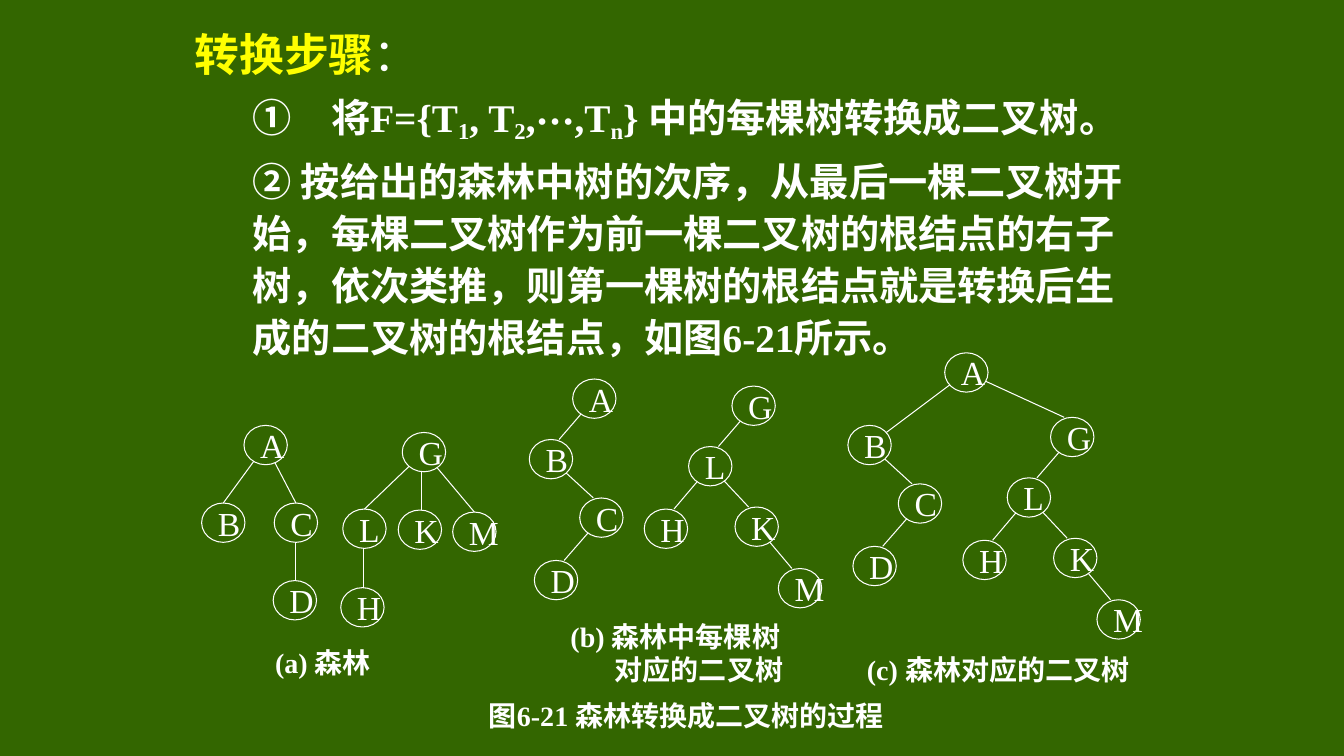
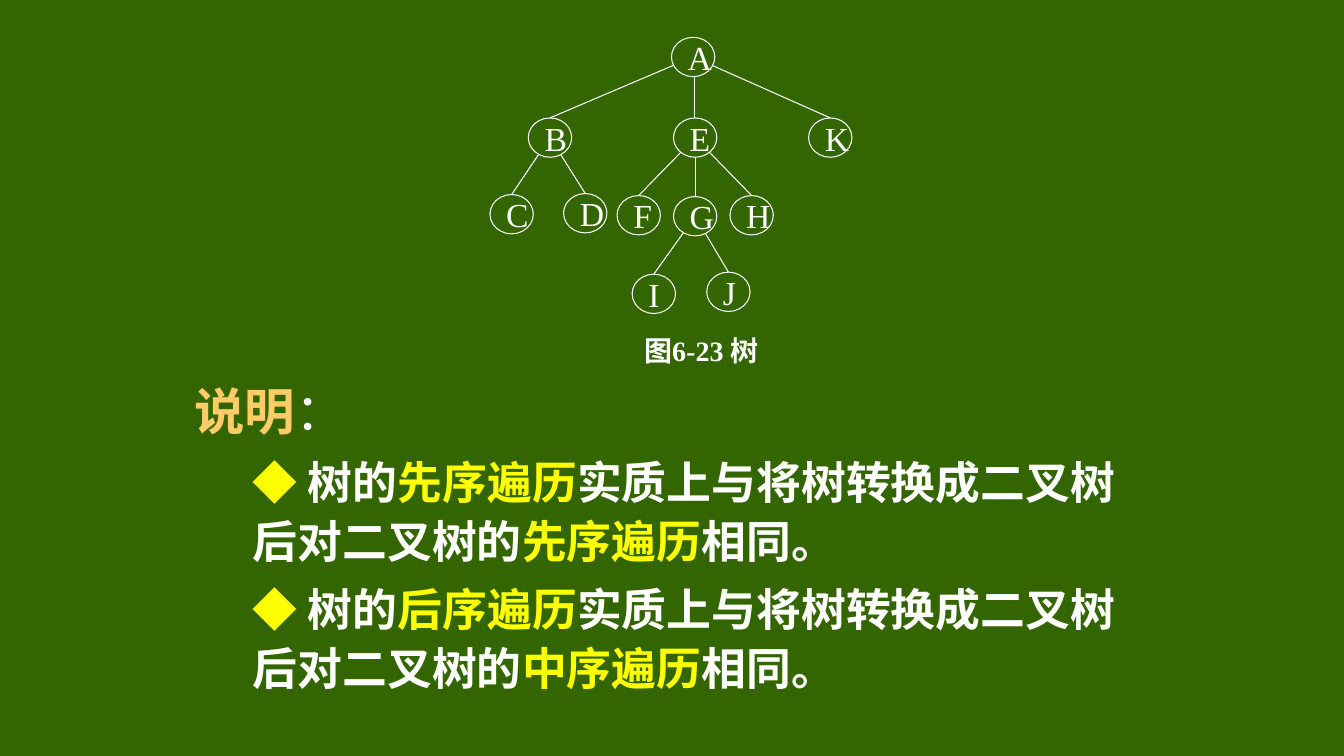
from math import hypot

from lxml import etree
from pptx import Presentation
from pptx import util as u
from pptx.dml.color import RGBColor
from pptx.enum import shapes, text
from pptx.oxml import ns

GREEN = RGBColor(0x33, 0x66, 0x00)
WHITE = RGBColor(0xFF, 0xFF, 0xFF)
YELLOW = RGBColor(0xFF, 0xFF, 0x00)
ORANGE = RGBColor(0xFF, 0xCC, 0x66)
LATIN = "Times New Roman"
HAN = "Noto Sans CJK SC"
NODE_WIDTH, NODE_HEIGHT = 0.43, 0.39
LEVEL_INDENT = 0.58


def style_paragraph(para, size, bold=False, color=WHITE):
    """Set the shared Latin and Han fonts of a paragraph."""
    para.alignment = text.PP_ALIGN.LEFT
    font = para.font
    font.size = u.Pt(size)
    font.bold = bold
    font.color.rgb = color
    font.name = LATIN
    defaults = para._p.get_or_add_pPr().find(ns.qn("a:defRPr"))
    etree.SubElement(defaults, ns.qn("a:ea")).set("typeface", HAN)


def indent_paragraph(para, inches):
    """Indent a whole paragraph from the left."""
    properties = para._p.get_or_add_pPr()
    properties.set("marL", str(u.Inches(inches)))
    properties.set("indent", "0")


def add_text_box(page, left, top, width, height, anchor, wrap):
    """Add a text box and return its text frame."""
    box = page.shapes.add_textbox(*map(u.Inches, (left, top, width, height)))
    frame = box.text_frame
    frame.word_wrap = wrap
    frame.vertical_anchor = anchor
    return frame


def add_caption(page, box, *lines):
    """Write a bold caption; each line is a text and its indent."""
    frame = add_text_box(page, *box, text.MSO_ANCHOR.MIDDLE, True)
    for index, (words, indent) in enumerate(lines):
        para = frame.add_paragraph() if index else frame.paragraphs[0]
        para.text = words
        indent_paragraph(para, indent)
        style_paragraph(para, 20, bold=True)


def add_passage(page, box, paragraphs):
    """Write a heading and the indented paragraphs under it."""
    frame = add_text_box(page, *box, text.MSO_ANCHOR.TOP, True)
    for index, (size, pitch, before, spans) in enumerate(paragraphs):
        para = frame.add_paragraph() if index else frame.paragraphs[0]
        if index:
            indent_paragraph(para, LEVEL_INDENT)
            para.space_before = u.Pt(before)
        para.line_spacing = u.Pt(pitch)
        style_paragraph(para, size, bold=True)
        for words, change in spans:
            span = para.add_run()
            span.text = words
            if change == "plain":
                span.font.bold = False
            elif change == "sub":
                span._r.get_or_add_rPr().set("baseline", "-18000")
            elif change is not None:
                span.font.color.rgb = change


def add_node(group, letter, left, top):
    """Draw one lettered oval."""
    node = group.shapes.add_shape(
        shapes.MSO_SHAPE.OVAL,
        *map(u.Inches, (left, top, NODE_WIDTH, NODE_HEIGHT)))
    node.shadow.inherit = False
    node.fill.background()
    node.line.color.rgb = WHITE
    node.line.width = u.Pt(0.75)
    frame = node.text_frame
    frame.word_wrap = False
    frame.vertical_anchor = text.MSO_ANCHOR.MIDDLE
    frame.paragraphs[0].text = letter
    style_paragraph(frame.paragraphs[0], 24)


def rim_point(center, target):
    """Find where the ray from an oval's centre to a target leaves the oval."""
    across, down = target[0] - center[0], target[1] - center[1]
    scale = 1 / hypot(across / (NODE_WIDTH / 2), down / (NODE_HEIGHT / 2))
    return center[0] + across * scale, center[1] + down * scale


def add_edge(group, start, end):
    """Draw a thin straight line between two points."""
    edge = group.shapes.add_connector(
        shapes.MSO_CONNECTOR.STRAIGHT, *map(u.Inches, (*start, *end)))
    edge.line.color.rgb = WHITE
    edge.line.width = u.Pt(0.75)
    etree.SubElement(edge._element.spPr, ns.qn("a:effectLst"))


def add_tree(page, origin, nodes, edges, lean=0, rim_edges=()):
    """Draw a tree whose node offsets are measured from its root's corner."""
    group = page.shapes.add_group_shape()
    centers = {}
    for letter, (across, down) in nodes.items():
        left, top = origin[0] + across, origin[1] + down
        add_node(group, letter, left, top)
        centers[letter] = left + NODE_WIDTH / 2, top + NODE_HEIGHT / 2
    for pair in edges.split():
        parent, child = (centers[letter] for letter in pair)
        if abs(parent[0] - child[0]) < 0.05:
            middle = (parent[0] + child[0]) / 2
            start = middle, parent[1] + NODE_HEIGHT / 2
            end = middle, child[1] - NODE_HEIGHT / 2
        else:
            side = 1 if parent[0] > child[0] else -1
            end = child[0] + side * lean, child[1] - NODE_HEIGHT / 2
            if pair in rim_edges:
                end = rim_point(child, parent)
            start = rim_point(parent, end)
        add_edge(group, start, end)


def build_conversion_page(page):
    """Show how a forest becomes one binary tree."""
    add_passage(page, (1.83, 0.17, 9.67, 3.43), [
        (32, 42, 0, [("转换步骤", YELLOW), ("：", "plain")]),
        (28, 37, 8, [
            ("①　将F={T", None), ("1", "sub"), (", T", None), ("2", "sub"),
            (",⋯,T", None), ("n", "sub"), ("} 中的每棵树转换成二叉树。", None)]),
        (28, 37, 6.5, [
            ("② 按给出的森林中树的次序，从最后一棵二叉树开始，"
             "每棵二叉树作为前一棵二叉树的根结点的右子树，依次类推，"
             "则第一棵树的根结点就是转换后生成的二叉树的根结点，"
             "如图6-21所示。", None)]),
    ])

    add_tree(page, (2.42, 4.22),
             {"A": (0, 0), "B": (-0.42, 0.77), "C": (0.3, 0.77),
              "D": (0.29, 1.54)}, "AB AC CD")
    add_tree(page, (3.99, 4.29),
             {"G": (0, 0), "L": (-0.59, 0.76), "K": (-0.04, 0.77),
              "M": (0.5, 0.79), "H": (-0.61, 1.54)}, "GL GK GM LH")

    first = {"B": (0, 0), "C": (0.5, 0.58), "D": (0.05, 1.2)}
    second = {"G": (0, 0), "L": (-0.43, 0.6), "H": (-0.87, 1.22),
              "K": (0.03, 1.2), "M": (0.46, 1.81)}
    first_edges, second_edges = "AB BC CD", "GL LH LK KM"

    def shifted(nodes, across, down):
        """Move a set of node offsets."""
        return {letter: (x + across, y + down)
                for letter, (x, y) in nodes.items()}

    add_tree(page, (5.68, 3.76), {"A": (0, 0), **shifted(first, -0.43, 0.6)},
             first_edges, lean=0.08)
    add_tree(page, (7.26, 3.83), second, second_edges, lean=0.08)
    add_tree(page, (9.37, 3.5),
             {"A": (0, 0), **shifted(first, -0.96, 0.72),
              **shifted(second, 1.05, 0.64)},
             f"{first_edges} AG {second_edges}", lean=0.08, rim_edges=("AB",))

    add_caption(page, (2.63, 6.38, 1.6, 0.39), ("(a) 森林", 0))
    add_caption(page, (5.56, 6.12, 2.8, 0.71),
                ("(b) 森林中每棵树", 0), ("对应的二叉树", 0.44))
    add_caption(page, (8.5, 6.44, 3.2, 0.39), ("(c) 森林对应的二叉树", 0))
    add_caption(page, (4.75, 6.9, 4.8, 0.39),
                ("图6-21 森林转换成二叉树的过程", 0))


def build_traversal_page(page):
    """Show a tree and explain its traversals."""

    def rule(tree_order, binary_order):
        """Pair a tree traversal with its binary counterpart."""
        return [("◆", YELLOW), (" 树的", None), (tree_order, YELLOW),
                ("实质上与将树转换成二叉树后对二叉树的", None),
                (binary_order, YELLOW), ("相同。", None)]

    add_passage(page, (1.83, 3.66, 9.67, 3.39), [
        (36, 48, 0, [("说明", ORANGE), ("：", "plain")]),
        (32, 42, 6.5, rule("先序遍历", "先序遍历")),
        (32, 42, 6.5, rule("后序遍历", "中序遍历")),
    ])
    add_tree(page, (6.66, 0.37),
             {"A": (0, 0), "B": (-1.42, 0.8), "E": (0.02, 0.8),
              "K": (1.36, 0.8), "C": (-1.8, 1.56), "D": (-1.07, 1.55),
              "F": (-0.54, 1.57), "G": (0.02, 1.58), "H": (0.58, 1.57),
              "I": (-0.39, 2.35), "J": (0.35, 2.33)},
             "AB AE AK BC BD EF EG EH GI GJ")
    add_caption(page, (6.29, 3.28, 1.8, 0.39), ("图6-23 树", 0))


def main():
    """Build and save the deck."""
    deck = Presentation()
    deck.slide_width = u.Inches(13.33)
    deck.slide_height = u.Inches(7.5)
    fill = deck.slide_master.background.fill
    fill.solid()
    fill.fore_color.rgb = GREEN
    for build in (build_conversion_page, build_traversal_page):
        build(deck.slides.add_slide(deck.slide_layouts[6]))
    deck.save("out.pptx")


if __name__ == "__main__":
    main()
